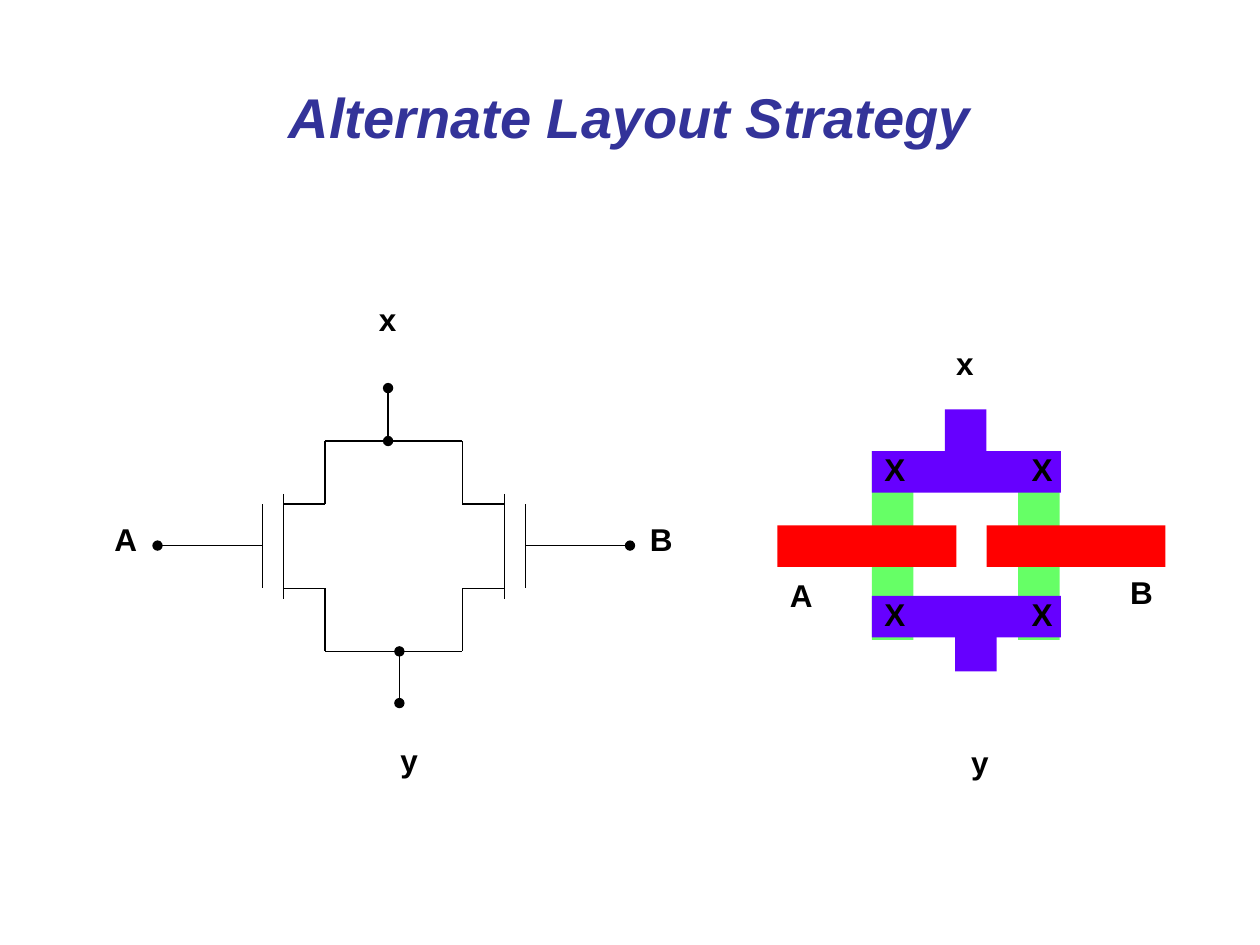
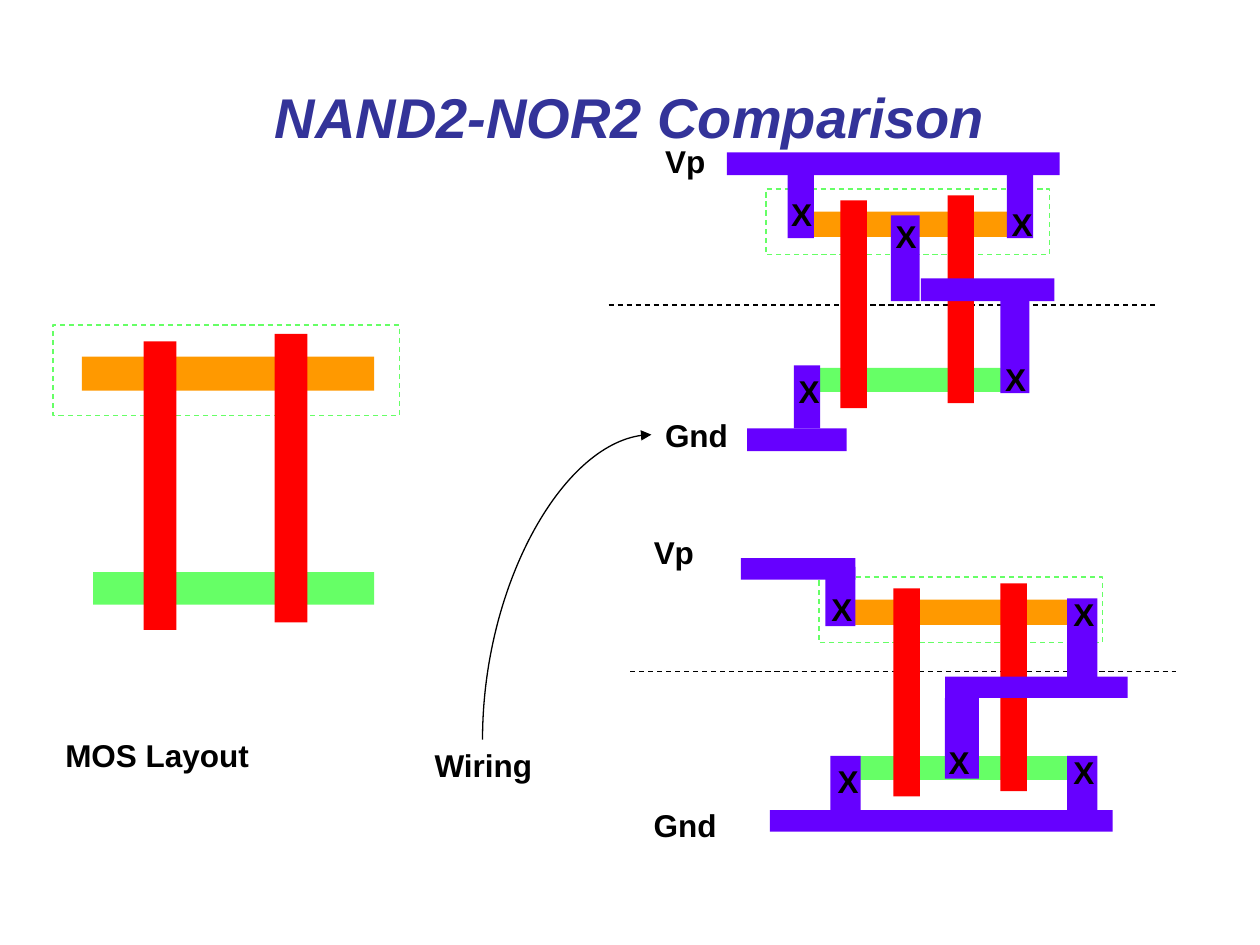
"""Builds two slides on transistor layout: a parallel pair, and NAND2 against NOR2."""
from dataclasses import dataclass

from lxml.etree import SubElement
from pptx import Presentation
from pptx.dml.color import RGBColor as Rgb
from pptx.enum.dml import MSO_LINE as Dash
from pptx.enum.shapes import MSO_CONNECTOR as Wire, MSO_SHAPE as Shape
from pptx.enum.text import MSO_ANCHOR as Anchor, PP_ALIGN as Align
from pptx.oxml.ns import qn
from pptx.util import Pt

SCALE = 9144


@dataclass(frozen=True)
class Theme:
    font: str = "Arial"
    title: Rgb = Rgb(0x33, 0x33, 0x99)
    ink: Rgb = Rgb(0, 0, 0)
    metal: Rgb = Rgb(0x66, 0x00, 0xFF)
    poly: Rgb = Rgb(0xFF, 0x00, 0x00)
    n_diffusion: Rgb = Rgb(0x66, 0xFF, 0x66)
    p_diffusion: Rgb = Rgb(0xFF, 0x99, 0x00)
    title_size: Pt = Pt(32)
    label_size: Pt = Pt(18)
    thin: Pt = Pt(0.5)
    line: Pt = Pt(0.75)


theme = Theme()


def px(*lengths):
    """Turn px into EMU."""
    return [length * SCALE for length in lengths]


def add_text(page, frame, text, size, color, is_title=False):
    """Add bold text: a centred italic title, or an unwrapped label."""
    box = page.shapes.add_textbox(*px(*frame))
    box.text_frame.word_wrap = is_title
    box.text_frame.text = text
    para = box.text_frame.paragraphs[0]
    if is_title:
        box.text_frame.vertical_anchor = Anchor.MIDDLE
        para.alignment = Align.CENTER
    font = para.runs[0].font
    font.name, font.size, font.bold, font.italic = theme.font, size, True, is_title
    font.color.rgb = color


label_widths = {"A": 38, "B": 38, "x": 34, "y": 34, "X": 36, "Vp": 52, "Gnd": 70,
                "MOS Layout": 166, "Wiring": 98}

pair_wires = []
for pin, gate, channel, rail in ((125, 208, 225, 258), (500, 417, 400, 367)):
    pair_wires += [
        (pin, 433, gate, 433, theme.line, "head"),
        (gate, 400, gate, 467, theme.thin, ""),
        (channel, 392, channel, 475, theme.thin, ""),
    ]
    for tap, node in ((400, 350), (467, 517)):
        pair_wires += [
            (channel, tap, rail, tap, theme.line, ""),
            (rail, tap, rail, node, theme.line, ""),
        ]
pair_wires += [(258, node, 367, node, theme.line, "") for node in (350, 517)]
pair_wires += [
    (308, 350, 308, 308, theme.line, "head tail"),
    (317, 558, 317, 517, theme.line, "head tail"),
]
pair_bars = [
    (692, 358, 33, 150, theme.n_diffusion),
    (808, 358, 33, 150, theme.n_diffusion),
    (692, 358, 150, 33, theme.metal),
    (692, 473, 150, 33, theme.metal),
    (750, 325, 33, 33, theme.metal),
    (758, 500, 33, 33, theme.metal),
    (617, 417, 142, 33, theme.poly),
    (783, 417, 142, 33, theme.poly),
]
pair_labels = [
    ("A", 81, 408), ("B", 506, 408), ("x", 291, 233), ("y", 308, 583),
    ("x", 749, 268), ("A", 617, 452), ("B", 887, 450), ("y", 761, 585),
]
pair_labels += [("X", left, top) for top in (352, 467) for left in (692, 809)]

cell_parts = [
    (32, 196, 223, 26, theme.n_diffusion),
    (0, 0, 275, 72, None),
    (23, 25, 232, 27, theme.p_diffusion),
    (72, 13, 26, 229, theme.poly),
    (176, 7, 26, 229, theme.poly),
]
gate_bars = []
for cell_left, cell_top, cell_width, cell_height in (
        (42, 258, 275, 72), (608, 150, 225, 52), (650, 458, 225, 52)):
    across, down = cell_width / 275, cell_height / 72
    for left, top, width, height, fill in cell_parts:
        gate_bars.append((cell_left + round(left * across), cell_top + round(top * down),
                          round(width * across), round(height * down), fill))
nand_metal = [
    (577, 121, 264, 18), (625, 139, 21, 50), (799, 139, 21, 50), (707, 171, 23, 68),
    (731, 221, 106, 18), (794, 229, 23, 83), (630, 290, 21, 50), (593, 340, 79, 18),
]
nor_metal = [
    (588, 443, 91, 17), (655, 450, 24, 47), (847, 475, 24, 64), (750, 537, 145, 17),
    (750, 554, 27, 64), (659, 600, 24, 47), (847, 600, 24, 47), (611, 643, 272, 17),
]
gate_bars += [(*frame, theme.metal) for frame in nand_metal + nor_metal]
gate_labels = [
    ("MOS Layout", 42, 579), ("Wiring", 335, 587),
    ("Vp", 518, 108), ("Gnd", 518, 325), ("Vp", 509, 418), ("Gnd", 509, 635),
]
contacts = [
    (618, 150), (701, 167), (793, 158), (624, 290), (788, 281),
    (655, 600), (743, 585), (842, 593), (650, 463), (842, 467),
]
gate_labels += [("X", *contact) for contact in contacts]
gate_wires = [
    (483, 242, 917, 242, theme.line, "dash"),
    (500, 533, 933, 533, theme.line, "dash"),
    (329, 399, 571, 533, theme.line, "curve"),
]

deck = Presentation()
deck.slide_width, deck.slide_height = px(1000, 750)

for title, wires, bars, labels in (
        ("Alternate Layout Strategy", pair_wires, pair_bars, pair_labels),
        ("NAND2-NOR2 Comparison", gate_wires, gate_bars, gate_labels)):
    page = deck.slides.add_slide(deck.slide_layouts[6])
    add_text(page, (50, 30, 900, 125), title, theme.title_size, theme.title, is_title=True)

    for *ends, width, style in wires:
        kind = Wire.CURVE if style == "curve" else Wire.STRAIGHT
        wire = page.shapes.add_connector(kind, *px(*ends))
        wire.line.color.rgb = theme.ink
        wire.line.width = width
        if style == "dash":
            wire.line.dash_style = Dash.DASH
        properties = wire._element.spPr
        outline = properties.find(qn("a:ln"))
        for end in ("head", "tail"):
            if end in style:
                SubElement(outline, qn(f"a:{end}End"), type="oval")
        if style == "curve":
            SubElement(outline, qn("a:tailEnd"), type="triangle")
            properties.find(qn("a:prstGeom")).set("prst", "curvedConnector2")
            turn = properties.find(qn("a:xfrm"))
            for name, value in (("rot", "5400000"), ("flipH", "1"), ("flipV", "1")):
                turn.set(name, value)
        SubElement(properties, qn("a:effectLst"))

    for *frame, fill in bars:
        bar = page.shapes.add_shape(Shape.RECTANGLE, *px(*frame))
        bar.shadow.inherit = False
        if fill is None:
            bar.fill.background()
            bar.line.color.rgb = theme.n_diffusion
            bar.line.width = theme.line
            bar.line.dash_style = Dash.DASH
        else:
            bar.fill.solid()
            bar.fill.fore_color.rgb = fill
            bar.line.fill.background()

    for text, left, top in labels:
        add_text(page, (left, top, label_widths[text], 40), text, theme.label_size, theme.ink)

deck.save("out.pptx")
